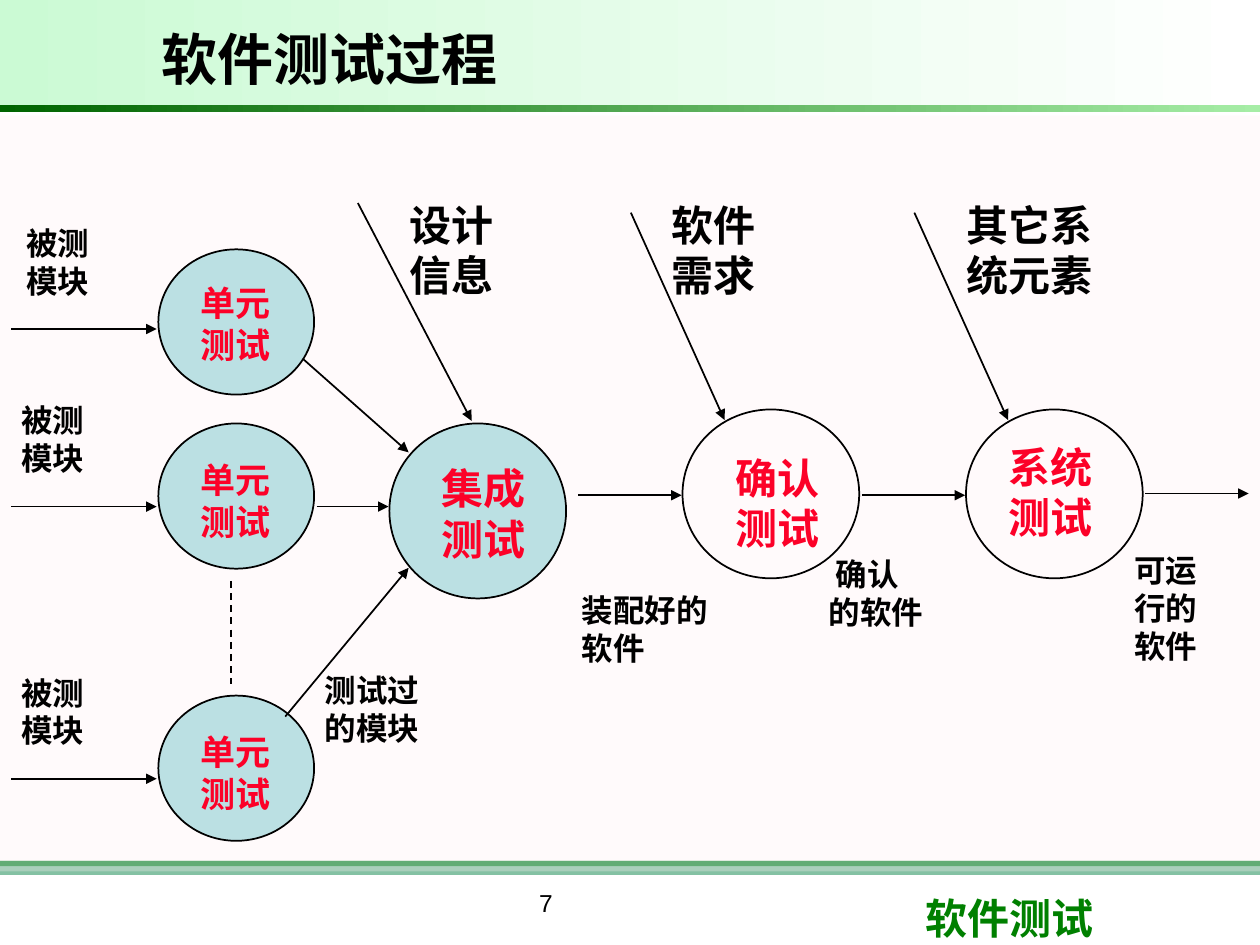
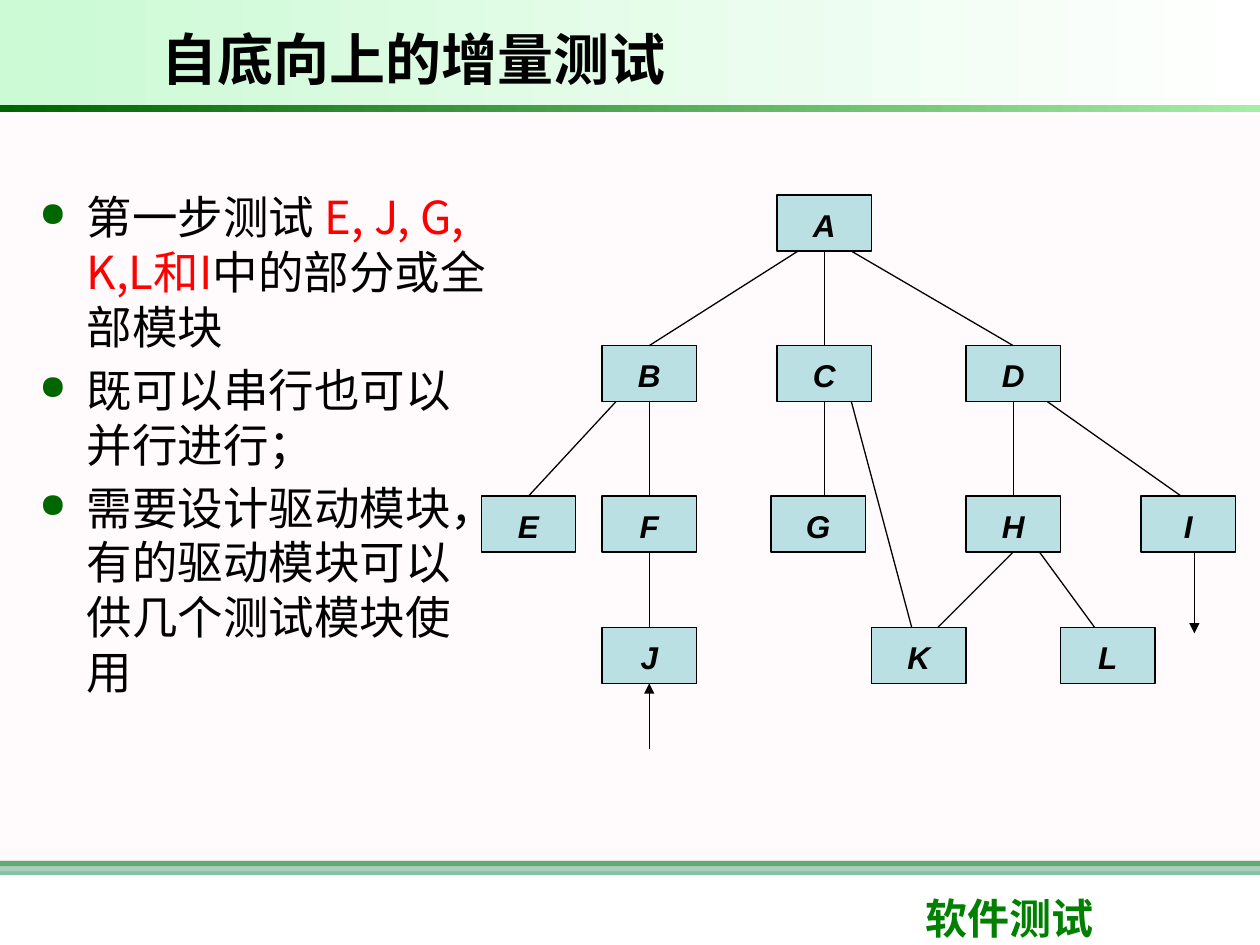
from dataclasses import dataclass
from typing import NamedTuple, Optional, Sequence

from lxml.etree import SubElement
from pptx import Presentation
from pptx.dml.color import RGBColor
from pptx.enum.dml import MSO_LINE
from pptx.enum.shapes import MSO_CONNECTOR, MSO_SHAPE
from pptx.enum.text import MSO_ANCHOR as Anchor, PP_ALIGN as Align
from pptx.oxml.ns import qn
from pptx.util import Pt


@dataclass(frozen=True)
class Theme:
    latin: str = "Arial"
    cjk: str = "Noto Sans CJK SC"
    ink: str = "000000"
    brand: str = "008000"
    stage: str = "FC0128"
    accent: str = "FF0000"
    node: str = "BBE0E3"
    bullet: str = "006600"
    rule: str = "339966"
    panel: str = "FFF0F5"
    header: tuple = ("CBFAD4", "FFFFFF")
    header_rule: tuple = ("006400", "A6EDA6")
    title: float = 32
    body: float = 26
    large: float = 24
    medium: float = 20
    small: float = 18
    page: float = 14
    leading: float = 1.2
    drop: float = 0.1


THEME = Theme()


class Box(NamedTuple):
    left: float
    top: float
    width: float
    height: float


class Caption(NamedTuple):
    lines: Sequence[str]
    box: Box
    size: float = THEME.small
    color: str = THEME.ink


class Stage(NamedTuple):
    box: Box
    fill: Optional[str]


class Arrow(NamedTuple):
    start: tuple
    end: tuple


class UnitRow(NamedTuple):
    circle_top: float
    arrow_y: float
    label_left: float


class Module(NamedTuple):
    left: float
    level: int


class Call(NamedTuple):
    parent: str
    child: str
    leave: float = 0
    enter: float = 0


def rgb(color: str) -> RGBColor:
    return RGBColor.from_string(color)


def write_text(frame, paragraphs: Sequence, *, size: float, color: str = THEME.ink,
               font: str = THEME.cjk, bold: bool = True, italic: bool = False,
               align=Align.LEFT, anchor=Anchor.TOP, gap: float = 0, bulleted: bool = False) -> None:
    frame.word_wrap = True
    frame.vertical_anchor = anchor
    frame.margin_top = Pt(3.6 + THEME.drop * size)
    for index, content in enumerate(paragraphs):
        paragraph = frame.paragraphs[0] if index == 0 else frame.add_paragraph()
        paragraph.alignment = align
        paragraph.line_spacing = Pt(THEME.leading * size)
        paragraph.space_after = Pt(gap)
        if bulleted:
            add_bullet(paragraph)
        for text, tint in [(content, color)] if isinstance(content, str) else content:
            run = paragraph.add_run()
            run.text = text
            run.font.size = Pt(size)
            run.font.bold = bold
            run.font.italic = italic
            run.font.name = font
            run.font.color.rgb = rgb(tint)
            SubElement(run.font._element, qn("a:ea"), typeface=THEME.cjk)


def add_bullet(paragraph) -> None:
    props = paragraph._p.get_or_add_pPr()
    props.set("marL", str(Pt(28)))
    props.set("indent", str(Pt(-27)))
    tint = SubElement(props, qn("a:buClr"))
    SubElement(tint, qn("a:srgbClr"), val=THEME.bullet)
    SubElement(props, qn("a:buSzPct"), val="75000")
    SubElement(props, qn("a:buChar"), char="●")


def add_text(slide, box: Box, paragraphs: Sequence, **style) -> None:
    write_text(slide.shapes.add_textbox(*map(Pt, box)).text_frame, paragraphs, **style)


def add_figure(slide, kind, box: Box, fill: Optional[str] = None, line: float = 0,
               opacity: int = 100):
    figure = slide.shapes.add_shape(kind, *map(Pt, box))
    figure.shadow.inherit = False
    if fill:
        figure.fill.solid()
        figure.fill.fore_color.rgb = rgb(fill)
        if opacity < 100:
            tint = figure._element.spPr.find(".//" + qn("a:srgbClr"))
            SubElement(tint, qn("a:alpha"), val=str(opacity * 1000))
    else:
        figure.fill.background()
    if line:
        figure.line.color.rgb = rgb(THEME.ink)
        figure.line.width = Pt(line)
    else:
        figure.line.fill.background()
    return figure


def add_gradient(slide, box: Box, colors: Sequence[str]) -> None:
    band = add_figure(slide, MSO_SHAPE.RECTANGLE, box)
    band.fill.gradient()
    band.fill.gradient_angle = 0
    for stop, color in zip(band.fill.gradient_stops, colors):
        stop.color.rgb = rgb(color)


def add_line(slide, start: tuple, end: tuple, width: float = 1, *, arrow: bool = False,
             dashed: bool = False) -> None:
    line = slide.shapes.add_connector(MSO_CONNECTOR.STRAIGHT, *map(Pt, (*start, *end)))
    line.line.color.rgb = rgb(THEME.ink)
    line.line.width = Pt(width)
    if dashed:
        line.line.dash_style = MSO_LINE.DASH
    if arrow:
        SubElement(line.line._get_or_add_ln(), qn("a:tailEnd"), type="triangle")
    SubElement(line._element.spPr, qn("a:effectLst"))


def add_slide(deck, title: str):
    slide = deck.slides.add_slide(deck.slide_layouts[6])
    add_figure(slide, MSO_SHAPE.RECTANGLE, Box(0, 492, 720, 3), THEME.brand)
    add_figure(slide, MSO_SHAPE.RECTANGLE, Box(0, 492, 720, 8), THEME.rule, opacity=60)
    add_figure(slide, MSO_SHAPE.RECTANGLE, Box(0, 66, 720, 432), THEME.panel, opacity=30)
    add_text(slide, Box(522, 504, 171, 36), ["软件测试"], size=THEME.large,
             color=THEME.brand, font=THEME.latin)
    add_gradient(slide, Box(0, 0, 720, 60), THEME.header)
    add_gradient(slide, Box(0, 60, 720, 4), THEME.header_rule)
    add_text(slide, Box(85, 6, 502, 51), [title], size=THEME.title, font=THEME.latin,
             anchor=Anchor.MIDDLE)
    return slide


UNIT_ROWS = [UnitRow(142.5, 188, 8), UnitRow(242, 289.5, 5), UnitRow(397.5, 445, 5)]

STAGES = [
    Stage(Box(222.5, 242, 101, 100), THEME.node),
    Stage(Box(390, 234, 101, 96.5), None),
    Stage(Box(552, 234, 101, 96.5), None),
]

FLOWS = [
    Arrow((173, 205), (233.5, 258.5)),
    Arrow((181, 289.5), (222, 289.5)),
    Arrow((163, 409.5), (233.5, 324.5)),
    Arrow((330.5, 283), (389.5, 283)),
    Arrow((492.5, 283), (551.5, 283)),
    Arrow((654.5, 282), (713.5, 282)),
    Arrow((204.5, 116), (269.5, 240.5)),
    Arrow((360.5, 121.5), (414, 240)),
    Arrow((522.5, 121.5), (576, 240)),
]

CAPTIONS = [
    Caption(["集成", "测试"], Box(245, 258.5, 109, 65), THEME.large, THEME.stage),
    Caption(["确认", "测试"], Box(413, 252.5, 109, 65), THEME.large, THEME.stage),
    Caption(["系统", "测试"], Box(569, 246, 109, 65), THEME.large, THEME.stage),
    Caption(["设计", "信息"], Box(227, 108, 103, 65), THEME.large),
    Caption(["软件", "需求"], Box(376.5, 108, 103, 65), THEME.large),
    Caption(["其它系", "统元素"], Box(545, 108, 139, 65), THEME.large),
    Caption(["测试过", "的模块"], Box(178.5, 378, 121, 50)),
    Caption(["装配好的软件"], Box(325.5, 332.5, 97, 50)),
    Caption([" 确认", "的软件"], Box(466.5, 312, 121, 50)),
    Caption(["可运", "行的", "软件"], Box(641, 309.5, 79, 73)),
]


def build_process(deck) -> None:
    slide = add_slide(deck, "软件测试过程")
    add_text(slide, Box(198, 502.5, 228, 37), ["7"], size=THEME.page, font=THEME.latin,
             bold=False, align=Align.CENTER)
    units = [Stage(Box(90.5, row.circle_top, 89, 83), THEME.node) for row in UNIT_ROWS]
    for stage in units + STAGES:
        add_figure(slide, MSO_SHAPE.OVAL, stage.box, stage.fill, line=1)
    inputs = [Arrow((6.5, row.arrow_y), (89.5, row.arrow_y)) for row in UNIT_ROWS]
    for flow in inputs + FLOWS:
        add_line(slide, flow.start, flow.end, arrow=True)
    add_line(slide, (132, 332), (132, 391), dashed=True)
    unit_captions = [
        caption for row in UNIT_ROWS for caption in (
            Caption(["被测", "模块"], Box(row.label_left, row.arrow_y - 65.5, 97, 50)),
            Caption(["单元", "测试"], Box(107.5, row.arrow_y - 33, 121, 55),
                    THEME.medium, THEME.stage))
    ]
    for caption in unit_captions + CAPTIONS:
        add_text(slide, caption.box, caption.lines, size=caption.size, color=caption.color)


MODULE_WIDTH, MODULE_HEIGHT = 54, 32
LEVEL_TOPS = [111.5, 197.5, 283.5, 358.5]
HAIRLINE = 0.75

MODULES = {
    "A": Module(444, 0),
    "B": Module(344, 1), "C": Module(444, 1), "D": Module(552, 1),
    "E": Module(275, 2), "F": Module(344, 2), "G": Module(440.5, 2),
    "H": Module(552, 2), "I": Module(652, 2),
    "J": Module(344, 3), "K": Module(498, 3), "L": Module(606, 3),
}

CALLS = [
    Call("A", "B", -15), Call("A", "C"), Call("A", "D", 15.5),
    Call("B", "E", -19), Call("B", "F"), Call("F", "J"),
    Call("C", "G", 0, 3.5), Call("C", "K", 15.5, -4),
    Call("D", "H"), Call("D", "I", 19.5, -4),
    Call("H", "K", 0, 11), Call("H", "L", 15, -7.5),
]

STEPS = [
    [("第一步测试 ", THEME.ink), ("E, J, G, K,L和I", THEME.accent),
     ("中的部分或全部模块", THEME.ink)],
    "既可以串行也可以并行进行；",
    "需要设计驱动模块，有的驱动模块可以供几个测试模块使用",
]


def top_of(name: str, shift: float = 0) -> tuple:
    module = MODULES[name]
    return module.left + MODULE_WIDTH / 2 + shift, LEVEL_TOPS[module.level]


def bottom_of(name: str, shift: float = 0) -> tuple:
    x, y = top_of(name, shift)
    return x, y + MODULE_HEIGHT


def build_bottom_up(deck) -> None:
    slide = add_slide(deck, "自底向上的增量测试")
    add_text(slide, Box(14.5, 102, 272, 357), STEPS, size=THEME.body, bold=False, gap=5,
             bulleted=True)
    for name, module in MODULES.items():
        box = Box(module.left, LEVEL_TOPS[module.level], MODULE_WIDTH, MODULE_HEIGHT)
        node = add_figure(slide, MSO_SHAPE.RECTANGLE, box, THEME.node, line=HAIRLINE)
        write_text(node.text_frame, [name], size=THEME.small, font=THEME.latin, italic=True,
                   align=Align.CENTER, anchor=Anchor.MIDDLE)
    for call in CALLS:
        add_line(slide, bottom_of(call.parent, call.leave), top_of(call.child, call.enter),
                 HAIRLINE)
    driver_x, driver_y = bottom_of("J")
    add_line(slide, (driver_x, driver_y + 37.5), (driver_x, driver_y), HAIRLINE, arrow=True)
    exit_x, exit_y = bottom_of("I", 3.5)
    add_line(slide, (exit_x, exit_y), (exit_x, exit_y + 46.5), HAIRLINE, arrow=True)


def main() -> None:
    deck = Presentation()
    deck.slide_width, deck.slide_height = Pt(720), Pt(540)
    build_process(deck)
    build_bottom_up(deck)
    deck.save("out.pptx")


if __name__ == "__main__":
    main()
